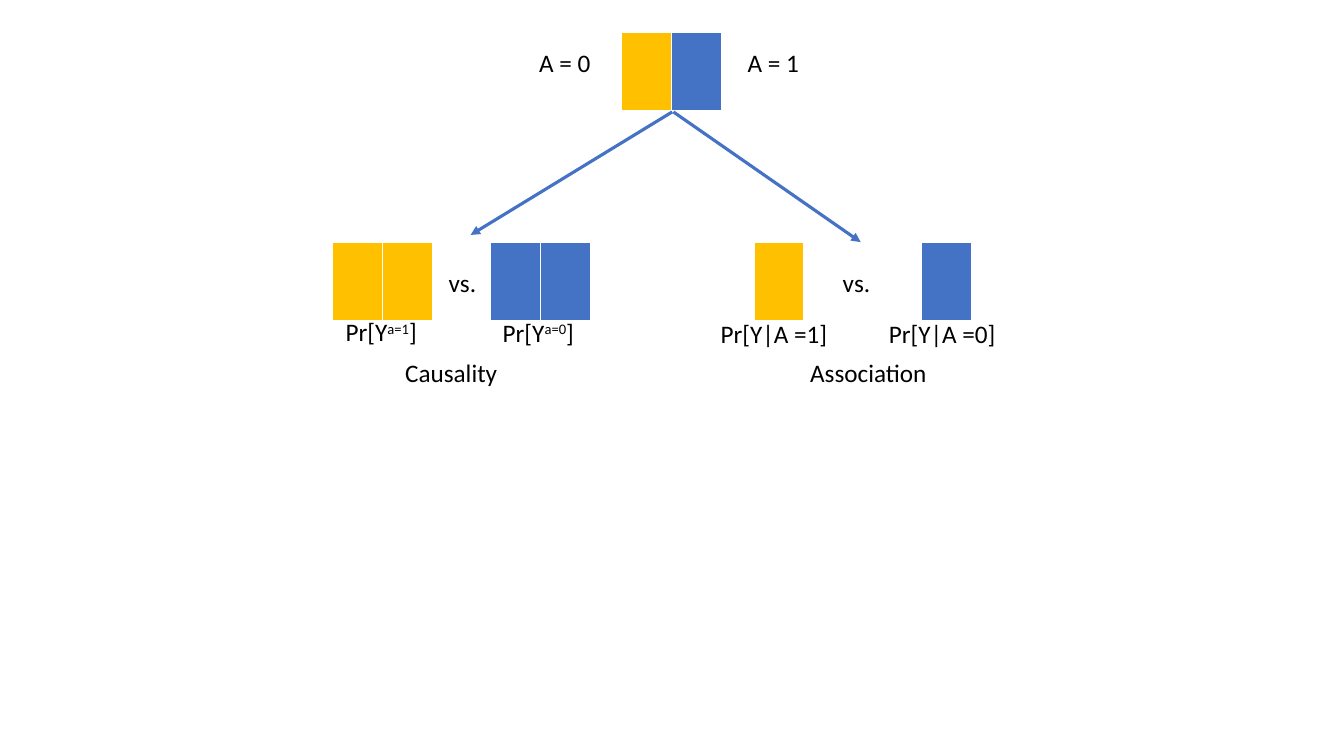
from lxml import etree
from pptx import Presentation
from pptx.dml.color import RGBColor
from pptx.enum import shapes, text
from pptx.oxml import ns
from pptx.util import Cm, Pt

YELLOW, BLUE, WHITE, BLACK = "FFC000", "4472C4", "FFFFFF", "000000"
LEFT, CENTER, RIGHT = text.PP_ALIGN.LEFT, text.PP_ALIGN.CENTER, text.PP_ALIGN.RIGHT
BAR_WIDTH, BAR_HEIGHT = 1.26, 2.01
TEXT_HEIGHT = 1.02
TOP_ROW, LOWER_ROW = 0.81, 6.1


def rgb(color):
    return RGBColor.from_string(color)


def add_border(cell, side, width):
    tc_pr = cell._tc.get_or_add_tcPr()
    ln = etree.SubElement(tc_pr, ns.qn(f"a:ln{side}"), w=str(Pt(width)))
    fill = etree.SubElement(ln, ns.qn("a:solidFill"))
    etree.SubElement(fill, ns.qn("a:srgbClr"), val=WHITE)


def add_bars(s, x, y, colors):
    width = Cm(BAR_WIDTH * len(colors))
    frame = s.shapes.add_table(1, len(colors), Cm(x), Cm(y), width, Cm(BAR_HEIGHT))
    table = frame.table
    for i, color in enumerate(colors):
        table.columns[i].width = Cm(BAR_WIDTH)
        cell = table.cell(0, i)
        for side, border in (("L", 1), ("R", 1), ("T", 1), ("B", 3)):
            add_border(cell, side, border)
        cell.fill.solid()
        cell.fill.fore_color.rgb = rgb(color)


def add_label(s, x, y, width, parts, align=LEFT):
    sp = s.shapes.add_textbox(Cm(x), Cm(y), Cm(width), Cm(TEXT_HEIGHT))
    tf = sp.text_frame
    tf.word_wrap = True
    tf.auto_size = text.MSO_AUTO_SIZE.SHAPE_TO_FIT_TEXT
    p = tf.paragraphs[0]
    p.alignment = align
    p.font.name = "Calibri"
    p.font.size = Pt(18)
    p.font.color.rgb = rgb(BLACK)
    for i, part in enumerate(parts):
        r = p.add_run()
        r.text = part
        if i == 1:
            r._r.get_or_add_rPr().set("baseline", "30000")


def add_arrow(s, x1, y1, x2, y2):
    line = s.shapes.add_connector(
        shapes.MSO_CONNECTOR.STRAIGHT, Cm(x1), Cm(y1), Cm(x2), Cm(y2))
    line.line.color.rgb = rgb(BLUE)
    line.line.width = Pt(2.25)
    etree.SubElement(line.line._get_or_add_ln(), ns.qn("a:tailEnd"), type="triangle")
    etree.SubElement(line._element.spPr, ns.qn("a:effectLst"))


def main():
    prs = Presentation()
    prs.slide_width, prs.slide_height = Cm(33.87), Cm(19.05)
    s = prs.slides.add_slide(prs.slide_layouts[6])

    for x, y, colors in (
        (15.67, TOP_ROW, [YELLOW, BLUE]),
        (8.38, LOWER_ROW, [YELLOW, YELLOW]),
        (12.37, LOWER_ROW, [BLUE, BLUE]),
        (19, LOWER_ROW, [YELLOW]),
        (23.22, LOWER_ROW, [BLUE]),
    ):
        add_bars(s, x, y, colors)

    for x, y, width, parts, align in (
        (13.34, 1.07, 1.98, ["A = 0"], LEFT),
        (18.59, 1.07, 1.98, ["A = 1"], LEFT),
        (10.92, 6.6, 1.47, ["vs."], CENTER),
        (20.85, 6.6, 1.47, ["vs."], CENTER),
        (9.96, 8.89, 3.81, ["Causality"], LEFT),
        (19.79, 8.89, 3.81, ["Association"], RIGHT),
        (8.46, 7.85, 2.44, ["Pr[Y", "a=1", "]"], LEFT),
        (12.42, 7.87, 2.44, ["Pr[Y", "a=0", "]"], LEFT),
        (17.91, 7.9, 3.43, ["Pr[Y|A =1]"], LEFT),
        (22.15, 7.9, 3.43, ["Pr[Y|A =0]"], LEFT),
    ):
        add_label(s, x, y, width, parts, align)

    add_arrow(s, 16.94, 2.82, 11.86, 5.92)
    add_arrow(s, 16.97, 2.82, 21.69, 6.1)
    prs.save("out.pptx")


if __name__ == "__main__":
    main()
